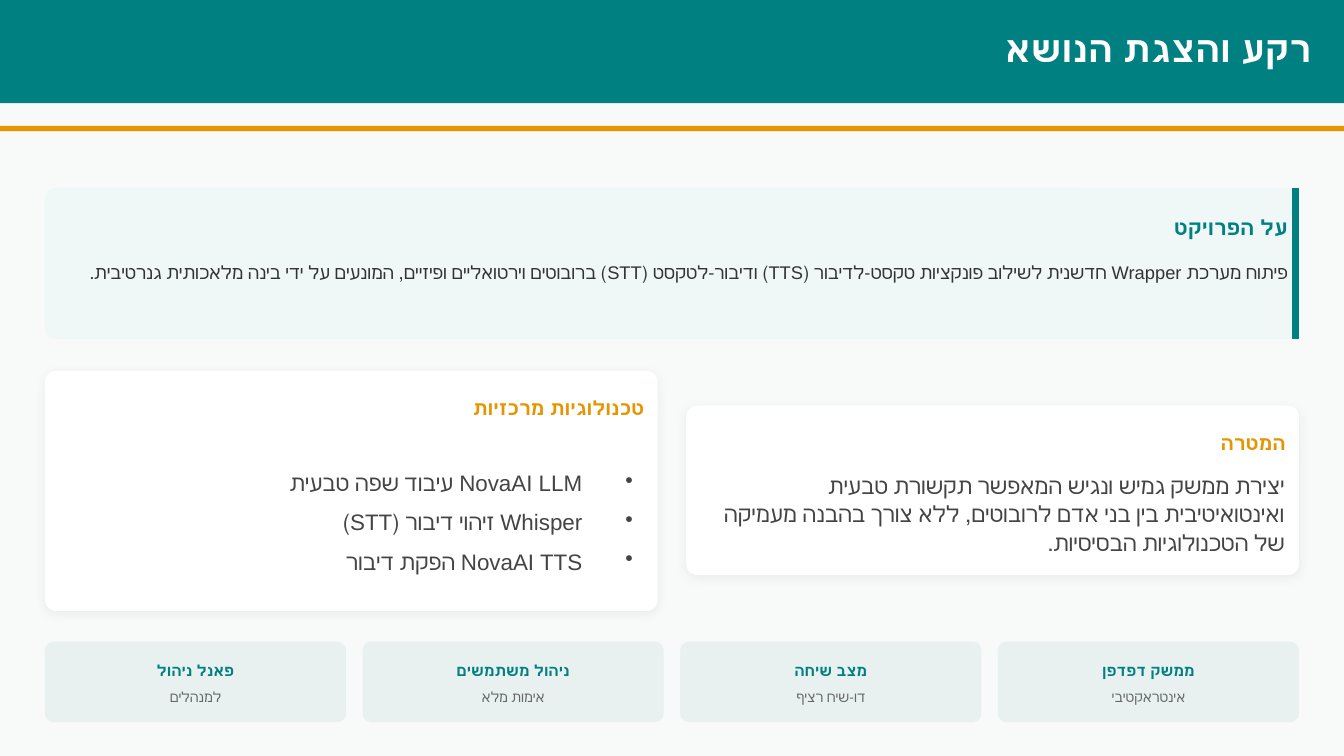
from lxml import etree
from pptx import Presentation
from pptx.dml.color import RGBColor
from pptx.enum import shapes, text
from pptx.oxml import ns
from pptx.util import Cm, Pt

COLORS = {
    "page": "F8FAFA", "teal": "008080", "orange": "E69500",
    "about": "F0F7F7", "tile": "E8F0F0", "white": "FFFFFF",
    "dark": "333333", "body": "444444", "muted": "666666", "shadow": "000000",
}
FONT = "Arial"
RIGHT, CENTER = text.PP_ALIGN.RIGHT, text.PP_ALIGN.CENTER
MARGIN, CONTENT_W = 0.85, 23.7

STYLES = {
    "title": {"size": 19.5, "bold": True, "color": "white", "line_spacing": 19.5},
    "about_head": {"size": 11.2, "bold": True, "color": "teal", "space_after": 7.5},
    "about_body": {"size": 9.8, "color": "dark", "line_spacing": 15.6},
    "card_head": {"size": 10.5, "bold": True, "color": "orange", "space_after": 9},
    "card_body": {"size": 12, "color": "body", "line_spacing": 15.3},
    "bullets": {"size": 12, "color": "body", "line_spacing": 21, "bullet": "•"},
    "tile_head": {"size": 8.2, "bold": True, "color": "teal", "align": CENTER,
                  "line_spacing": 11.6, "space_after": 3},
    "tile_body": {"size": 7.5, "color": "muted", "align": CENTER,
                  "line_spacing": 10.5},
}

# Listed from right to left
TILES = [
    ("ממשק דפדפן", "אינטראקטיבי"),
    ("מצב שיחה", "דו-שיח רציף"),
    ("ניהול משתמשים", "אימות מלא"),
    ("פאנל ניהול", "למנהלים"),
]


def rgb(name):
    return RGBColor.from_string(COLORS[name])


def sub(parent, tag, **attrs):
    return etree.SubElement(parent, ns.qn(tag), attrs)


def add_box(s, x, y, w, h, color, radius=0):
    kind = shapes.MSO_SHAPE.ROUNDED_RECTANGLE if radius else shapes.MSO_SHAPE.RECTANGLE
    sp = s.shapes.add_shape(kind, Cm(x), Cm(y), Cm(w), Cm(h))
    if radius:
        sp.adjustments[0] = radius / min(w, h)
    sp.fill.solid()
    sp.fill.fore_color.rgb = rgb(color)
    sp.line.fill.background()
    sp.shadow.inherit = False
    return sp


def add_soft_shadow(sp):
    effects = sp._element.spPr.find(ns.qn("a:effectLst"))
    shadow = sub(effects, "a:outerShdw", blurRad=str(Pt(6)), dist=str(Pt(1.5)),
                 dir="5400000", algn="bl", rotWithShape="0")
    color = sub(shadow, "a:srgbClr", val=COLORS["shadow"])
    sub(color, "a:alpha", val="6000")


def format_paragraph(p, style):
    """Apply a style to a right-to-left paragraph with one run."""
    p.alignment = style.get("align", RIGHT)
    pPr = p._p.get_or_add_pPr()
    pPr.set("rtl", "1")
    for name in ("line_spacing", "space_after"):
        if name in style:
            setattr(p, name, Pt(style[name]))
    if "bullet" in style:
        indent = Cm(0.96)
        pPr.set("marL", str(indent))
        pPr.set("indent", str(-indent))
        sub(pPr, "a:buSzPct", val="100000")
        sub(pPr, "a:buChar", char=style["bullet"])
    r = p.runs[0]
    values = {"size": Pt(style["size"]), "bold": style.get("bold", False), "name": FONT}
    for name, value in values.items():
        setattr(r.font, name, value)
    r.font.color.rgb = rgb(style["color"])


def fill_text(sp, lines, style_name):
    tf = sp.text_frame
    frame = {"margin_left": 0, "margin_right": 0, "margin_top": 0, "margin_bottom": 0,
             "word_wrap": True, "auto_size": text.MSO_AUTO_SIZE.NONE,
             "vertical_anchor": text.MSO_ANCHOR.TOP}
    for name, value in frame.items():
        setattr(tf, name, value)
    for i, line in enumerate(lines):
        p = tf.add_paragraph() if i else tf.paragraphs[0]
        p.add_run().text = line
        format_paragraph(p, STYLES[style_name])


def add_text(s, x, y, w, h, style_name, *lines):
    sp = s.shapes.add_textbox(Cm(x), Cm(y), Cm(w), Cm(h))
    fill_text(sp, lines, style_name)


def add_header(s, width):
    bar = add_box(s, 0, 0, width, 1.95, "teal")
    title = s.shapes.title
    title._element.addprevious(bar._element)
    title.left, title.top, title.width, title.height = Cm(12.67), Cm(0.64), Cm(12.12), Cm(0.69)
    fill_text(title, ["רקע והצגת הנושא"], "title")
    add_box(s, 0, 2.38, width, 0.1, "orange")


def add_about(s):
    y, h, x = 3.55, 2.86, 24.49
    add_box(s, MARGIN, y, CONTENT_W, h, "about", radius=0.21)
    line = s.shapes.add_connector(shapes.MSO_CONNECTOR.STRAIGHT,
                                  Cm(x), Cm(y), Cm(x), Cm(y + h))
    line.line.color.rgb = rgb("teal")
    line.line.width = Pt(3.75)
    sub(line._element.spPr, "a:effectLst")
    add_text(s, 1.38, 4.06, 22.96, 0.46, "about_head", "על הפרויקט")
    add_text(s, 1.38, 4.8, 22.96, 1.09, "about_body",
             "פיתוח מערכת Wrapper חדשנית לשילוב פונקציות טקסט-לדיבור (TTS) "
             "ודיבור-לטקסט (STT) ברובוטים וירטואליים ופיזיים, המונעים על ידי "
             "בינה מלאכותית גנרטיבית.")


def add_card(s, x, y, h, heading):
    add_soft_shadow(add_box(s, x, y, 11.58, h, "white", radius=0.21))
    add_text(s, x + 0.48, y + 0.47, 10.85, 0.43, "card_head", heading)


def add_tiles(s):
    y, w, pad = 12.13, 5.69, 0.26
    pitch = (CONTENT_W - w) / (len(TILES) - 1)
    for i, (heading, note) in enumerate(TILES):
        x = MARGIN + CONTENT_W - w - i * pitch
        add_box(s, x, y, w, 1.52, "tile", radius=0.16)
        add_text(s, x + pad, y + 0.31, w - 2 * pad, 0.41, "tile_head", heading)
        add_text(s, x + pad, y + 0.83, w - 2 * pad, 0.38, "tile_body", note)


def main():
    prs = Presentation()
    prs.slide_width, prs.slide_height = Cm(25.4), Cm(14.29)
    s = prs.slides.add_slide(prs.slide_layouts[5])
    s.background.fill.solid()
    s.background.fill.fore_color.rgb = rgb("page")

    add_header(s, 25.4)
    add_about(s)
    add_card(s, 12.97, 7.67, 3.2, "המטרה")
    add_text(s, 13.44, 8.89, 10.85, 1.07, "card_body",
             "יצירת ממשק גמיש ונגיש המאפשר תקשורת טבעית ואינטואיטיבית בין בני אדם "
             "לרובוטים, ללא צורך בהבנה מעמיקה של הטכנולוגיות הבסיסיות.")
    add_card(s, MARGIN, 7.01, 4.54, "טכנולוגיות מרכזיות")
    add_text(s, 1.33, 8.64, 10.64, 2.44, "bullets",
             "NovaAI LLM עיבוד שפה טבעית",
             "Whisper זיהוי דיבור (STT)",
             "NovaAI TTS הפקת דיבור")
    add_tiles(s)
    prs.save("out.pptx")


if __name__ == "__main__":
    main()
